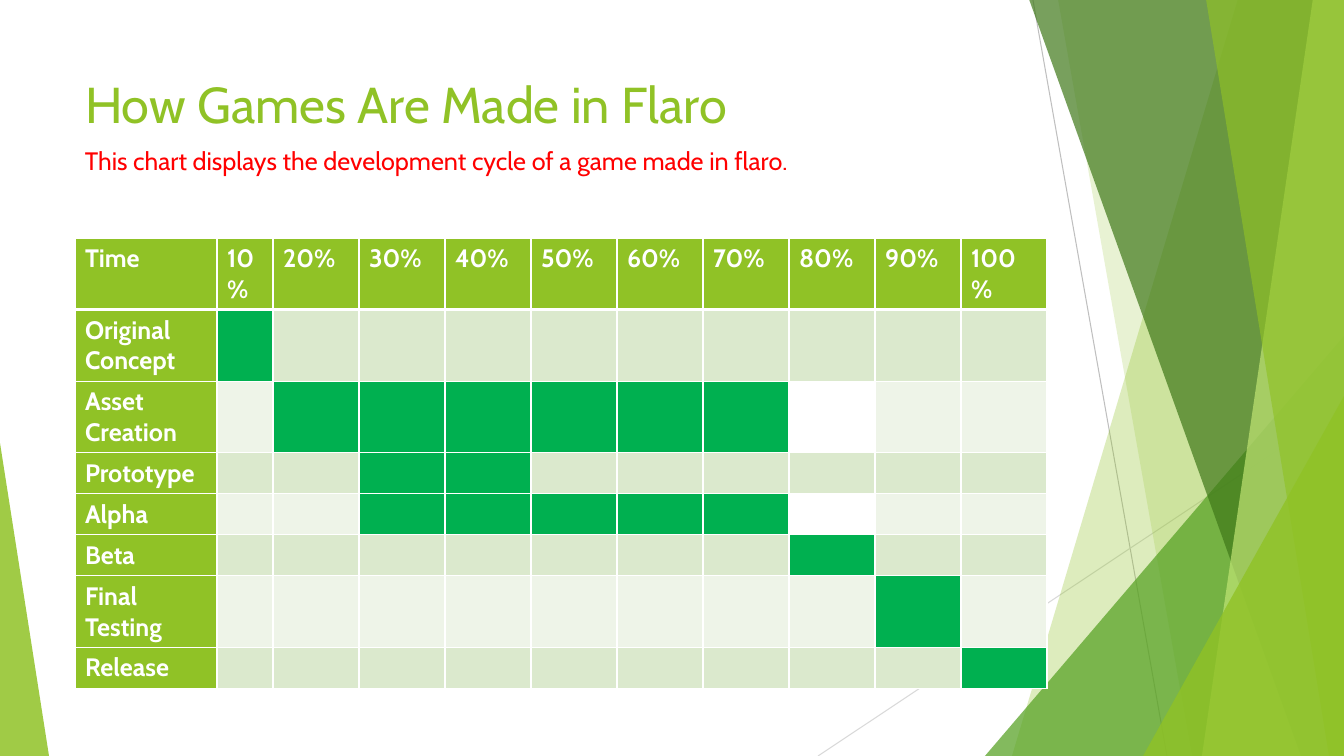
from lxml.etree import SubElement
from pptx import Presentation
from pptx.dml.color import RGBColor
from pptx.enum.shapes import MSO_CONNECTOR as Connector, MSO_SHAPE as Shape
from pptx.enum.text import MSO_ANCHOR as Anchor, MSO_AUTO_SIZE as AutoSize, PP_ALIGN as Align
from pptx.oxml import parse_xml
from pptx.oxml.ns import nsdecls, qn
from pptx.util import Emu, Pt

W, H = 1344, 756
SCALE = 12192000 / W
FONT = "Cabin"
COLORS = {
    "lime": "90C226", "leaf": "54A021", "forest": "3F7819", "pale": "C0E474",
    "bar": "00B050", "band_odd": "DBE9CD", "band_even": "EEF4E8",
    "white": "FFFFFF", "red": "FF0000", "line_dark": "BFBFBF", "line_light": "D9D9D9",
}
HEADS = ["Time"] + [f"{n}%" for n in range(10, 101, 10)]
STAGES = [
    ("Original Concept", 1, 1, None),
    ("Asset Creation", 2, 7, 8),
    ("Prototype", 3, 4, None),
    ("Alpha", 3, 7, 8),
    ("Beta", 8, 8, None),
    ("Final Testing", 9, 9, None),
    ("Release", 10, 10, None),
]


def px(n):
    return Emu(round(n * SCALE))


def rgb(name):
    return RGBColor.from_string(COLORS[name])


def write(tf, text, size=18, color="white", bold=False):
    tf.word_wrap = True
    p = tf.paragraphs[0]
    p.alignment = Align.LEFT
    r = p.add_run()
    r.text = text
    r.font.name = FONT
    r.font.size = Pt(size)
    r.font.bold = bold
    r.font.color.rgb = rgb(color)


def paint(sp, color, opacity):
    sp.shadow.inherit = False
    sp.line.fill.background()
    sp.fill.solid()
    sp.fill.fore_color.rgb = rgb(color)
    clr = sp.fill._xPr.find(qn("a:solidFill"))[0]
    SubElement(clr, qn("a:alpha")).set("val", str(opacity * 1000))


def ray(s, x1, y1, x2, y2, color):
    c = s.shapes.add_connector(Connector.STRAIGHT, px(x1), px(y1), px(x2), px(y2))
    c.line.color.rgb = rgb(color)
    c.line.width = Pt(0.75)
    SubElement(c._element.spPr, qn("a:effectLst"))


def shard(s, right, top_x, bottom_x, color, opacity):
    fb = s.shapes.build_freeform(top_x, -1, scale=SCALE)
    fb.add_line_segments([(right, -1), (right, H), (bottom_x, H)], close=True)
    paint(fb.convert_to_shape(), color, opacity)


def wedge(s, x, y, w, h, apex, color, opacity):
    sp = s.shapes.add_shape(Shape.ISOSCELES_TRIANGLE, px(x), px(y), px(w), px(h))
    sp.adjustments[0] = apex
    paint(sp, color, opacity)


def backdrop(s, w, h):
    ray(s, w - 311, 0, w - 177, h, "line_dark")
    ray(s, w, 406, w - 526, h, "line_light")
    shard(s, w, w - 106, w - 332, "lime", 30)
    shard(s, w, w - 286, w - 152, "lime", 20)
    wedge(s, w - 359, h - 420, 359, 420, 1, "leaf", 72)
    shard(s, w, w - 315, w - 43, "forest", 70)
    shard(s, w, w - 31, w - 142, "pale", 70)
    shard(s, w, w - 138, w - 15, "lime", 65)
    wedge(s, w - 201, h - 360, 201, 360, 1, "lime", 80)
    wedge(s, 0, h - 313, 49, 313, 0, "lime", 85)


def heading(s, x, y, w, h):
    title = s.shapes.title
    s.shapes._spTree.append(title._element)
    title.left, title.top, title.width, title.height = px(x), px(y), px(w), px(h)
    title.text_frame.auto_size = AutoSize.NONE
    title.text_frame.vertical_anchor = Anchor.TOP
    write(title.text_frame, "How Games Are Made in Flaro", size=36, color="lime")


def caption(s, x, y, w, h):
    tf = s.shapes.add_textbox(px(x), px(y), px(w), px(h)).text_frame
    write(tf, "This chart displays the development cycle of a game made in flaro.", color="red")


def style_cell(cell, color, bottom=1):
    if color:
        cell.fill.solid()
        cell.fill.fore_color.rgb = rgb(color)
    else:
        cell.fill.background()
    tcPr = cell._tc.get_or_add_tcPr()
    widths = {"lnL": 1, "lnR": 1, "lnT": 1, "lnB": bottom}
    for i, (side, width) in enumerate(widths.items()):
        tcPr.insert(i, parse_xml(
            f'<a:{side} {nsdecls("a")} w="{Pt(width)}"><a:solidFill>'
            f'<a:srgbClr val="{COLORS["white"]}"/></a:solidFill></a:{side}>'))


def schedule(s, x, y, w, row_h):
    first, second = 142, 56
    rest = (w - first - second) // (len(HEADS) - 2)
    rows = len(STAGES) + 1
    frame = s.shapes.add_table(rows, len(HEADS), px(x), px(y), px(w), px(row_h * rows))
    tbl = frame.table
    for i, col in enumerate(tbl.columns):
        col.width = px([first, second][i] if i < 2 else rest)
    for row in tbl.rows:
        row.height = px(row_h)
    for i, head in enumerate(HEADS):
        style_cell(tbl.cell(0, i), "lime", bottom=3)
        write(tbl.cell(0, i).text_frame, head, bold=True)
    for n, (stage, start, end, gap) in enumerate(STAGES, 1):
        style_cell(tbl.cell(n, 0), "lime")
        write(tbl.cell(n, 0).text_frame, stage, bold=True)
        band = "band_odd" if n % 2 else "band_even"
        for i in range(1, len(HEADS)):
            color = "bar" if start <= i <= end else band
            style_cell(tbl.cell(n, i), None if i == gap else color, 1)


def main():
    prs = Presentation()
    prs.slide_width, prs.slide_height = px(W), px(H)
    s = prs.slides.add_slide(prs.slide_layouts[5])
    backdrop(s, W, H)
    heading(s, 75, 68, 948, 84)
    schedule(s, 75, 238, 972, 41)
    caption(s, 75, 140, 948, 84)
    prs.save("out.pptx")


if __name__ == "__main__":
    main()
